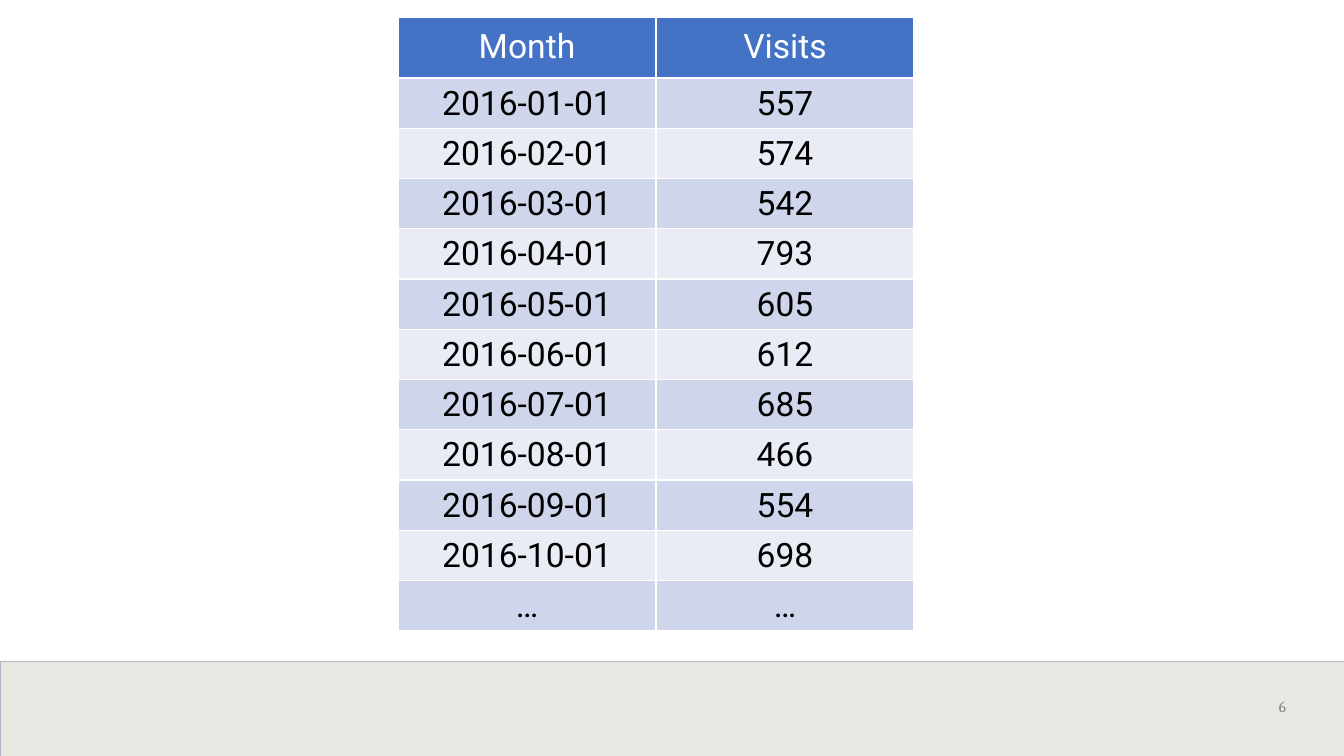
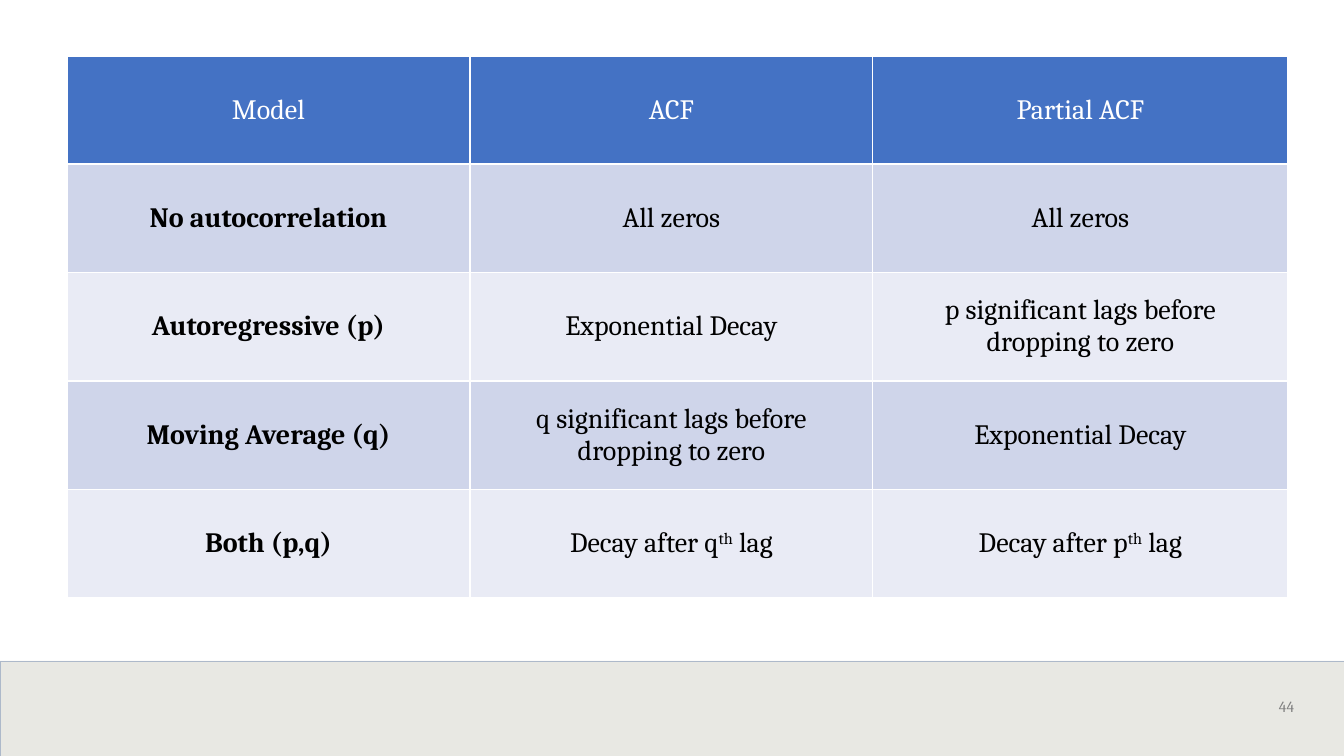
from lxml.etree import SubElement
from pptx import Presentation
from pptx.dml.color import RGBColor
from pptx.enum.shapes import MSO_SHAPE
from pptx.enum.text import MSO_ANCHOR, PP_ALIGN
from pptx.oxml.ns import qn
from pptx.util import Pt

PX = 12192000 / 1344
WIDTH, HEIGHT = 1344, 756
BAND_TOP = 661
WHITE, BLACK, GREY = "FFFFFF", "000000", "7F7F7F"
HEADER_BLUE = "4472C4"
ROW_FILLS = ["E9EBF5", "CFD5EA"]
BAND_FILL, BAND_LINE = "D3D3C9", "ADB9CA"


def px(length):
    return round(length * PX)


def color(value):
    return RGBColor.from_string(value)


visits = [557, 574, 542, 793, 605, 612, 685, 466, 554, 698]
visit_rows = [["Month", "Visits"]]
visit_rows += [[f"2016-{month:02}-01", str(count)] for month, count in enumerate(visits, 1)]
visit_rows += [["…", "…"]]

model_rows = [
    ["Model", "ACF", "Partial ACF"],
    ["No autocorrelation", "All zeros", "All zeros"],
    ["Autoregressive (p)", "Exponential Decay", "p significant lags before\ndropping to zero"],
    ["Moving Average (q)", "q significant lags before\ndropping to zero", "Exponential Decay"],
    ["Both (p,q)", "Decay after q^th^ lag", "Decay after p^th^ lag"],
]

pages = [
    dict(number="6", rows=visit_rows, left=398, top=17, columns=[258, 258], height=614,
         header=61, font="Roboto", size=24, tight=True, bold_labels=False),
    dict(number="44", rows=model_rows, left=67, top=56, columns=[403, 403, 415], height=542,
         header=108, font="Cambria", size=20, tight=False, bold_labels=True),
]

presentation = Presentation()
presentation.slide_width, presentation.slide_height = px(WIDTH), px(HEIGHT)

for page in pages:
    slide = presentation.slides.add_slide(presentation.slide_layouts[6])

    band = slide.shapes.add_shape(
        MSO_SHAPE.RECTANGLE, 0, px(BAND_TOP), px(WIDTH), px(HEIGHT - BAND_TOP))
    band.shadow.inherit = False
    band.fill.solid()
    band.fill.fore_color.rgb = color(BAND_FILL)
    band_color = band._element.spPr.find(qn("a:solidFill")).find(qn("a:srgbClr"))
    SubElement(band_color, qn("a:alpha"), val="50000")
    band.line.color.rgb = color(BAND_LINE)
    band.line.width = Pt(0.5)

    number_box = slide.shapes.add_textbox(px(1249), px(692), px(70), px(37))
    frame = number_box.text_frame
    frame.word_wrap = True
    frame.margin_left = px(30)
    run = frame.paragraphs[0].add_run()
    run.text = page["number"]
    run.font.name, run.font.size = "Cambria", Pt(11)
    run.font.color.rgb = color(GREY)

    rows, columns = page["rows"], page["columns"]
    table = slide.shapes.add_table(
        len(rows), len(columns), px(page["left"]), px(page["top"]),
        px(sum(columns)), px(page["height"])).table
    for column, width in zip(table.columns, columns):
        column.width = px(width)
    row_height = (page["height"] - page["header"]) / (len(rows) - 1)

    for row_index, texts in enumerate(rows):
        is_header = row_index == 0
        table.rows[row_index].height = px(page["header"] if is_header else row_height)
        for column_index, text in enumerate(texts):
            cell = table.cell(row_index, column_index)
            cell.vertical_anchor = MSO_ANCHOR.MIDDLE
            cell.fill.solid()
            cell.fill.fore_color.rgb = color(HEADER_BLUE if is_header else ROW_FILLS[row_index % 2])
            if page["tight"] and not is_header:
                cell.margin_left = cell.margin_top = cell.margin_right = px(1)
                cell.margin_bottom = 0
            for line_index, line in enumerate(text.split("\n")):
                frame = cell.text_frame
                paragraph = frame.add_paragraph() if line_index else frame.paragraphs[0]
                paragraph.alignment = PP_ALIGN.CENTER
                for part_index, part in enumerate(line.split("^")):
                    run = paragraph.add_run()
                    run.text = part
                    run.font.name, run.font.size = page["font"], Pt(page["size"])
                    run.font.bold = page["bold_labels"] and column_index == 0 and not is_header
                    run.font.color.rgb = color(WHITE if is_header else BLACK)
                    if part_index % 2:
                        run._r.get_or_add_rPr().set("baseline", "30000")

presentation.save("out.pptx")
